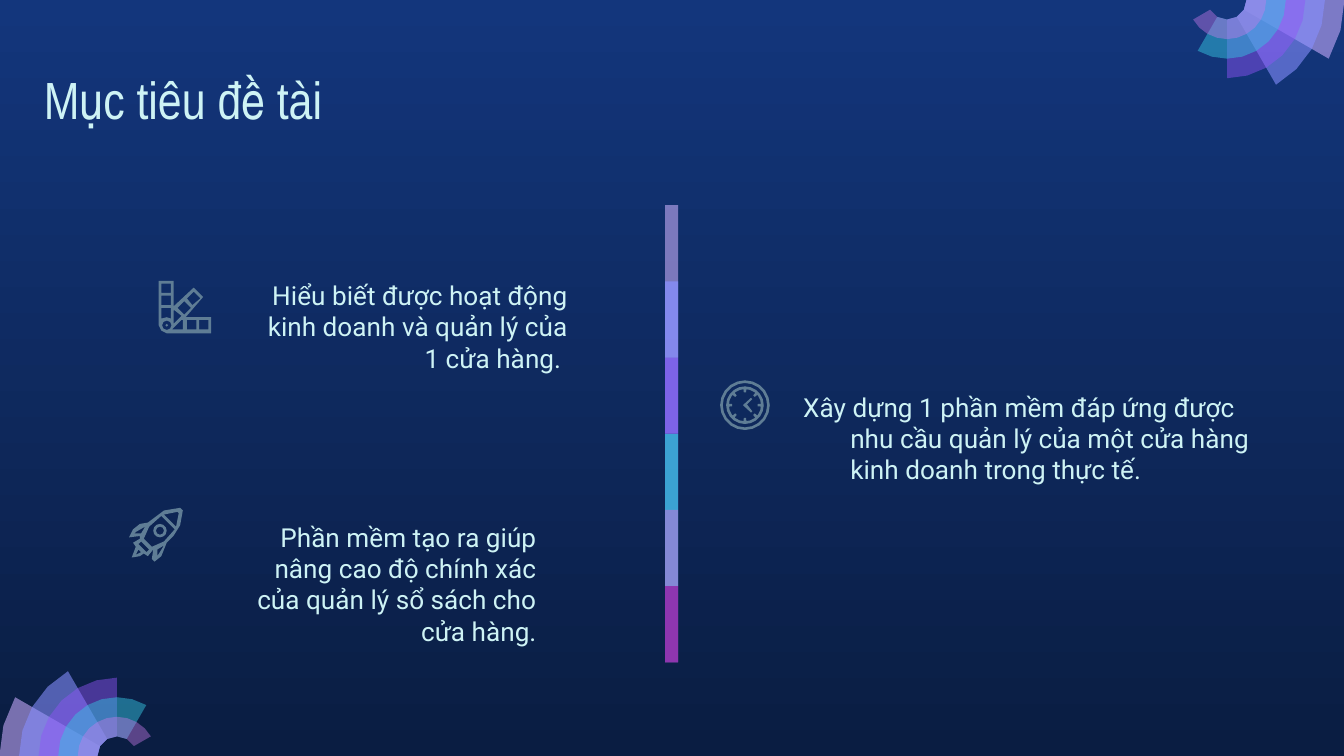
import math

import lxml.etree
import pptx
import pptx.dml.color
import pptx.enum.shapes
import pptx.enum.text
import pptx.oxml.ns
import pptx.util

Cm = pptx.util.Cm
qn = pptx.oxml.ns.qn
TEXT = "CEF3F5"
ICON = "5F7D95"
INCH_HUNDREDTH = 0.0254


def paint(fill, color, alpha=100):
    fill.solid()
    fill.fore_color.rgb = pptx.dml.color.RGBColor.from_string(color)
    if alpha < 100:
        clr = fill._xPr.find(".//" + qn("a:srgbClr"))
        lxml.etree.SubElement(clr, qn("a:alpha"), val=str(alpha * 1000))


def arc(cx, cy, r, start=0, end=360, steps=12):
    angles = [math.radians(start + (end - start) * i / steps) for i in range(steps + 1)]
    return [(cx + r * math.cos(a), cy + r * math.sin(a)) for a in angles]


prs = pptx.Presentation()
prs.slide_width, prs.slide_height = Cm(25.4), Cm(14.29)
s = prs.slides.add_slide(prs.slide_layouts[4])
bg = s.background.fill
bg.gradient()
bg.gradient_angle = 270
for stop, color in zip(bg.gradient_stops, ["13367C", "0A1D42"]):
    stop.color.rgb = pptx.dml.color.RGBColor.from_string(color)

outlines = []
fan = [("C8ACFD", 58), ("878FFF", 58), ("9154F8", 46), ("35C2DF", 49), ("CA7BEB", 42)]
ring = 0.37
for cx, cy, start in [(2.21, 14.29, 180), (23.19, 0, 0)]:
    for i, (color, alpha) in enumerate(fan):
        end = start + 30 * (i + 1)
        steps = 2 * (i + 1)
        sector = (arc(cx, cy, ring * (6 - i), start, end, steps)
                  + arc(cx, cy, ring, end, start, i + 1))
        outlines.append(([sector], color, alpha))

bars = [("C8AEF8", 59), ("878FFF", 74), ("9154F8", 53),
        ("35C2DF", 76), ("CA7BEB", 56), ("972CB4", 74)]
step = 1.44
for i, (color, alpha) in enumerate(bars):
    height = step if i == len(bars) - 1 else 2 * step
    sp = s.shapes.add_shape(pptx.enum.shapes.MSO_SHAPE.RECTANGLE,
                            Cm(12.57), Cm(3.88 + i * step), Cm(0.25), Cm(height))
    paint(sp.fill, color, alpha)
    sp.line.fill.background()
    sp.shadow.inherit = False

swatches = [
    [(0, 0), (11, 0), (11, 19), (26, 5), (33, 12), (20, 27),
     (39, 27), (39, 39), (6, 39), (2, 37), (0, 33)],
    [(26, 8), (31, 13), (25, 18), (21, 13)],
    [(19, 15), (24, 20), (19, 25), (14, 20)],
    [(2, 20), (9, 20), (9, 28), (6, 27), (2, 28)],
    [(12, 22), (17, 26), (11, 32), (11, 22)],
    [(18, 29), (18, 36), (10, 36), (17, 29)],
    arc(6, 33, 3.5, steps=8), arc(6, 33, 1, steps=4),
]
for x, y in [(2, 2), (2, 11), (21, 29), (30, 29)]:
    swatches.append([(x, y), (x + 7, y), (x + 7, y + 7), (x, y + 7)])

rocket = [
    [(38, 0), (26, 2), (14, 11), (8, 12), (3, 16), (0, 22), (8, 21),
     (8, 23), (3, 26), (5, 29), (2, 37), (8, 36), (11, 34),
     (14, 36), (18, 31), (17, 38), (19, 40), (24, 36), (28, 26),
     (33, 21), (38, 13), (40, 2)],
    [(36, 3), (37, 4), (35, 14), (26, 5)],
    [(12, 14), (9, 19), (4, 19), (5, 18)],
    [(24, 6), (34, 16), (26, 25), (17, 29), (11, 23), (15, 14)],
    [(9, 25), (15, 31), (13, 33), (7, 27)],
    [(7, 31), (9, 33), (5, 35)],
    [(26, 28), (21, 36), (21, 31)],
    arc(23, 17, 5), arc(23, 17, 3, steps=8),
]

clock = [arc(18.5, 18.5, r, steps=20) for r in (18.5, 16.5, 14, 12)]
clock.append([(23, 13), (24, 14), (20, 18), (24, 23), (23, 24), (17, 18.5)])
for a in range(0, 360, 45):
    clock.append(arc(18.5, 18.5, 12, a - 5, a + 5, 1) + arc(18.5, 18.5, 9.5, a + 5, a - 5, 1))

for left, top, icon in [(3, 5.31, swatches), (2.44, 9.6, rocket), (13.61, 7.19, clock)]:
    contours = [[(left + x * INCH_HUNDREDTH, top + y * INCH_HUNDREDTH) for x, y in c]
                for c in icon]
    outlines.append((contours, ICON, 100))

for contours, color, alpha in outlines:
    points = [[(Cm(x), Cm(y)) for x, y in c] for c in contours]
    fb = s.shapes.build_freeform(*points[0][0])
    fb.add_line_segments(points[0][1:])
    for c in points[1:]:
        fb.move_to(*c[0])
        fb.add_line_segments(c[1:])
    sp = fb.convert_to_shape()
    paint(sp.fill, color, alpha)
    sp.line.fill.background()
    sp.shadow.inherit = False

LEFT, RIGHT = pptx.enum.text.PP_ALIGN.LEFT, pptx.enum.text.PP_ALIGN.RIGHT
texts = [
    (0, "Mục tiêu đề tài", (0.58, 1.02, 21.41, 1.6), LEFT, 0, 0, "Arial Narrow", 28),
    (1, "Hiểu biết được hoạt động kinh doanh và quản lý của 1 cửa hàng. ",
     (4.55, 5.03, 6.43, 2.21), RIGHT, 0, 0, "Roboto", 14),
    (2, "Phần mềm tạo ra giúp nâng cao độ chính xác của quản lý sổ sách cho cửa hàng.",
     (3.96, 9.6, 6.43, 1.75), RIGHT, 0.25, -0.25, "Roboto", 14),
    (3, "Xây dựng 1 phần mềm đáp ứng được nhu cầu quản lý của một cửa hàng "
        "kinh doanh trong thực tế.",
     (14.55, 7.14, 9.47, 1.75), LEFT, 1.27, -0.89, "Roboto", 14),
]
for idx, text, box, align, margin, indent, font, size in texts:
    sp = s.placeholders[idx]
    sp.left, sp.top, sp.width, sp.height = [Cm(v) for v in box]
    tf = sp.text_frame
    tf.text = text
    tf.word_wrap = True
    tf.auto_size = pptx.enum.text.MSO_AUTO_SIZE.NONE
    tf.vertical_anchor = pptx.enum.text.MSO_ANCHOR.TOP
    tf.margin_left = tf.margin_right = tf.margin_top = tf.margin_bottom = Cm(0.25)
    p = tf.paragraphs[0]
    p.alignment = align
    p.space_before = pptx.util.Pt(0)
    pPr = p._p.get_or_add_pPr()
    pPr.set("marL", str(Cm(margin)))
    pPr.set("indent", str(Cm(indent)))
    lxml.etree.SubElement(pPr, qn("a:buNone"))
    r = p.runs[0]
    r.font.name = font
    r.font.size = pptx.util.Pt(size)
    r.font.bold = False
    paint(r.font.fill, TEXT)

spare = s.placeholders[4]._element
spare.getparent().remove(spare)
prs.save("out.pptx")
